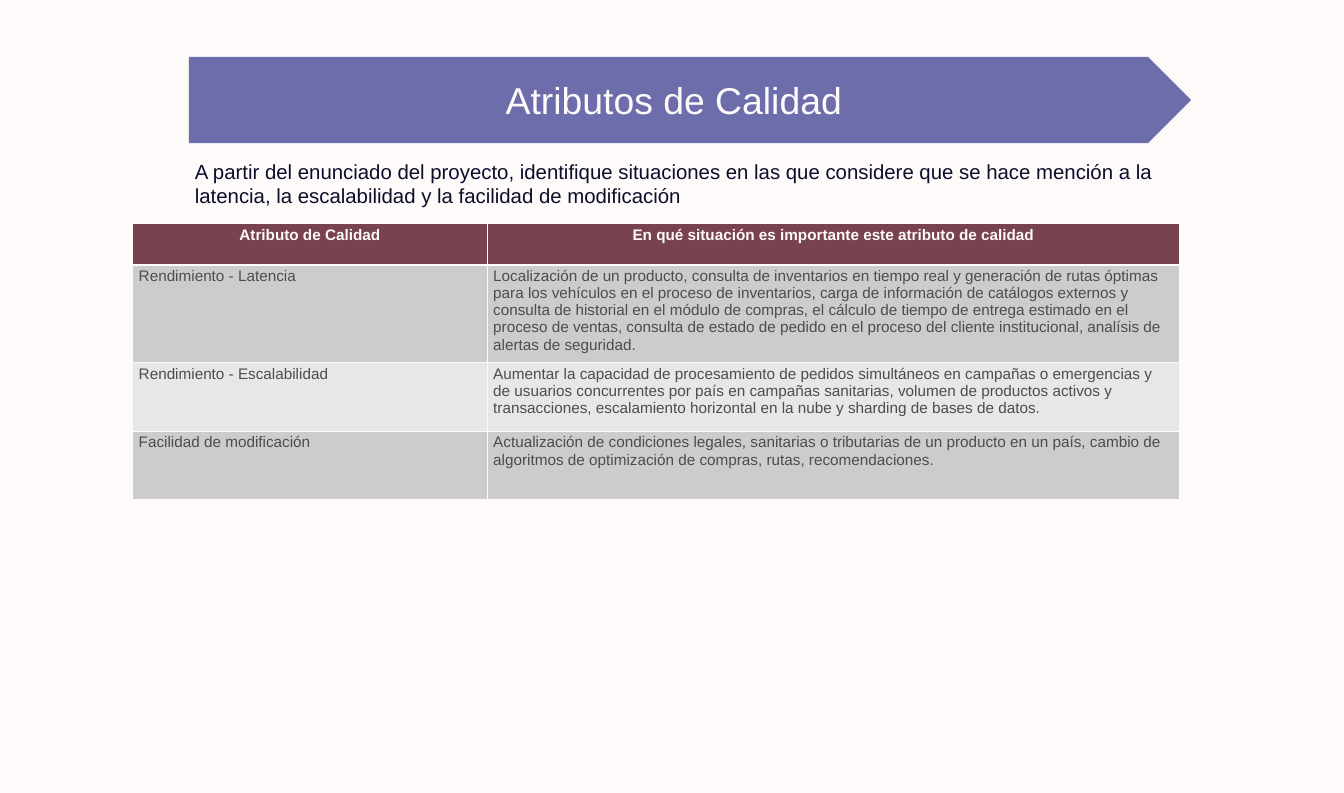
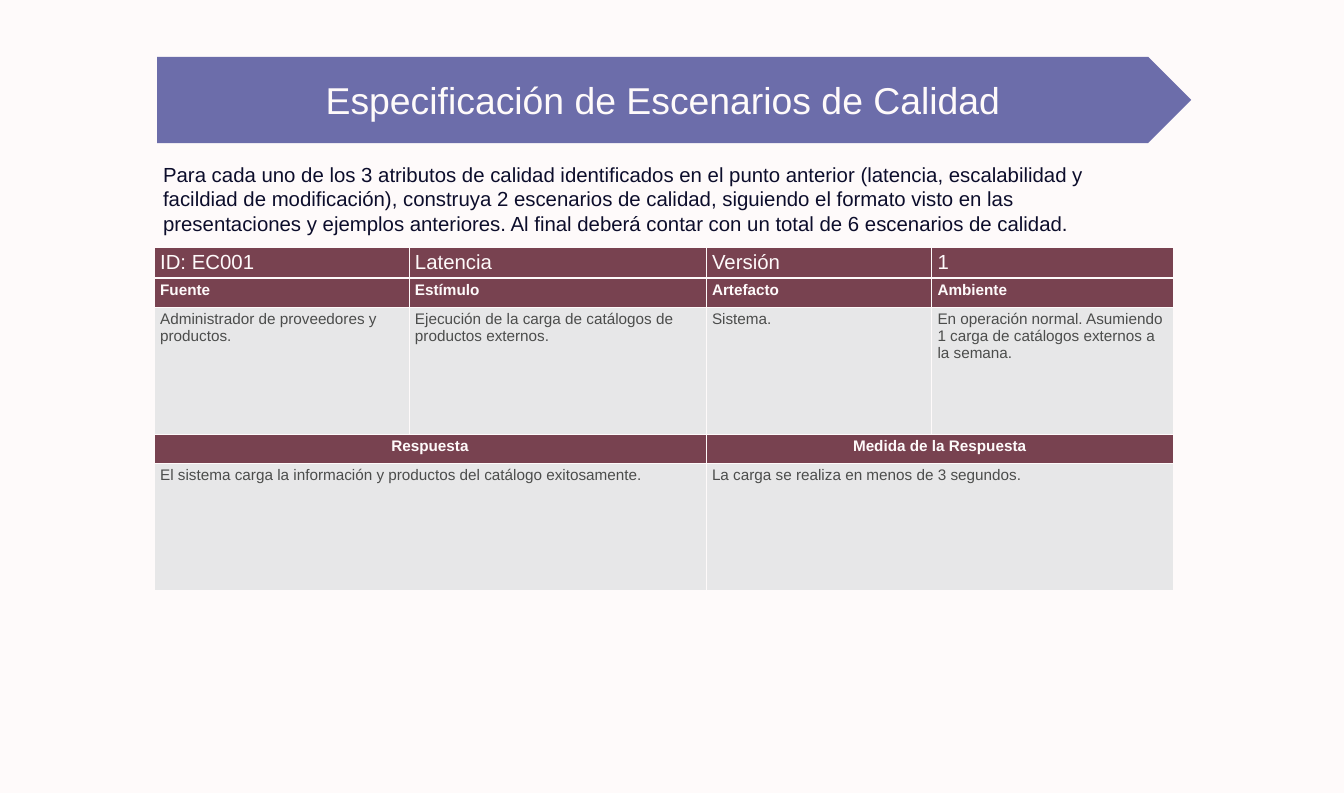
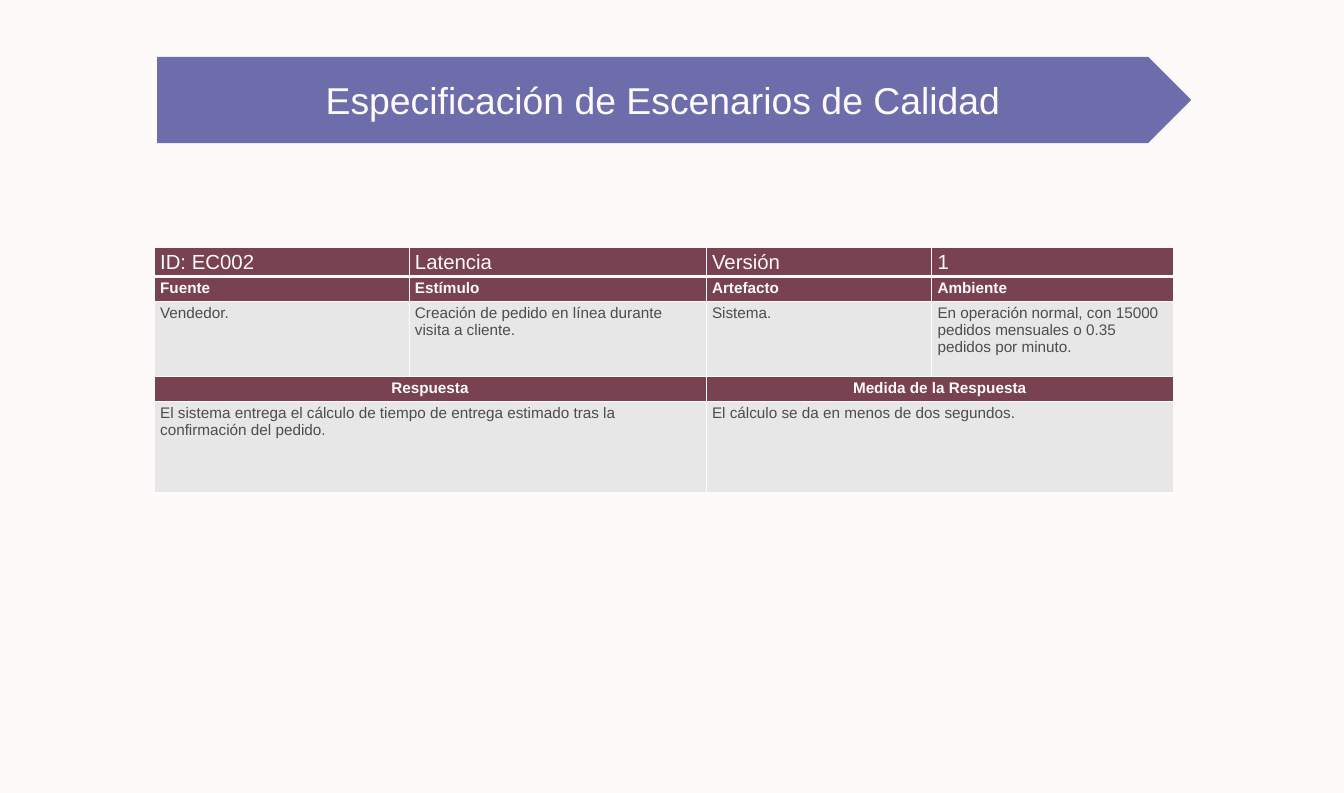
from dataclasses import dataclass

import lxml.etree
import pptx
import pptx.dml.color
import pptx.dml.fill
import pptx.enum.shapes
import pptx.enum.text
import pptx.oxml.ns
import pptx.presentation
import pptx.slide
import pptx.table
import pptx.text.text
import pptx.util

Inches = pptx.util.Inches
Align = pptx.enum.text.PP_ALIGN
qn = pptx.oxml.ns.qn

FONT = "Arial"
PAPER = "FEFAFA"
BANNER = "252884"
INTRO_INK = "0C0D2B"
HEADING = "784250"
BODY_INK = "4C4D4C"
LIGHT = "E7E7E8"
MEDIUM = "CCCCCD"

BANNER_TOP, BANNER_HEIGHT, BANNER_RIGHT = 0.93, 1.41, 19.49
INTRO_WIDTH = 16.4
TITLE_ONLY = 5


@dataclass(frozen=True)
class RowStyle:
    fill: str
    ink: str = BODY_INK
    size: int = 18
    bold: bool = False
    align: Align = Align.LEFT


@dataclass(frozen=True)
class Row:
    height: float
    texts: tuple[str, ...]
    style: RowStyle


@dataclass(frozen=True)
class Grid:
    left: float
    top: float
    columns: tuple[float, ...]
    rows: tuple[Row, ...]


@dataclass(frozen=True)
class Intro:
    top: float
    height: float
    text: str


@dataclass(frozen=True)
class Page:
    title: str
    left: float
    grid: Grid
    intro: Intro | None = None


@dataclass(frozen=True)
class Scenario:
    code: str
    heights: tuple[float, ...]
    context: tuple[str, str, str, str]
    outcome: tuple[str, str]


IDENTITY = RowStyle(HEADING, PAPER, 24)
LABEL = RowStyle(HEADING, PAPER, bold=True)
CENTRED_LABEL = RowStyle(HEADING, PAPER, bold=True, align=Align.CENTER)
DARK_BODY = RowStyle(MEDIUM)
LIGHT_BODY = RowStyle(LIGHT)


def scenario_grid(scenario: Scenario) -> Grid:
    contents = (
        (("ID: " + scenario.code, "Latencia", "Versión", "1"), IDENTITY),
        (("Fuente", "Estímulo", "Artefacto", "Ambiente"), LABEL),
        (scenario.context, LIGHT_BODY),
        (("Respuesta", "Medida de la Respuesta"), CENTRED_LABEL),
        (scenario.outcome, LIGHT_BODY),
    )
    rows = tuple(
        Row(height, texts, style)
        for height, (texts, style) in zip(scenario.heights, contents)
    )
    return Grid(2.52, 4.05, (4.17, 4.86, 3.69, 3.96), rows)


ATTRIBUTES = Grid(
    2.17,
    3.66,
    (5.8, 11.33),
    (
        Row(
            0.67,
            ("Atributo de Calidad", "En qué situación es importante este atributo de calidad"),
            CENTRED_LABEL,
        ),
        Row(
            1.6,
            (
                "Rendimiento - Latencia",
                "Localización de un producto, consulta de inventarios en tiempo real y "
                "generación de rutas óptimas para los vehículos en el proceso de inventarios, "
                "carga de información de catálogos externos y consulta de historial en el "
                "módulo de compras, el cálculo de tiempo de entrega estimado en el proceso de "
                "ventas, consulta de estado de pedido en el proceso del cliente "
                "institucional, analísis de alertas de seguridad.",
            ),
            DARK_BODY,
        ),
        Row(
            1.12,
            (
                "Rendimiento - Escalabilidad",
                "Aumentar la capacidad de procesamiento de pedidos simultáneos en campañas o "
                "emergencias y de usuarios concurrentes por país en campañas sanitarias, "
                "volumen de productos activos y transacciones, escalamiento horizontal en la "
                "nube y sharding de bases de datos.",
            ),
            LIGHT_BODY,
        ),
        Row(
            1.12,
            (
                "Facilidad de modificación",
                "Actualización de condiciones legales, sanitarias o tributarias de un "
                "producto en un país, cambio de algoritmos de optimización de compras, "
                "rutas, recomendaciones.",
            ),
            DARK_BODY,
        ),
    ),
)

CATALOGUE_LOAD = Scenario(
    "EC001",
    (0.48, 0.48, 2.07, 0.48, 2.07),
    (
        "Administrador de proveedores y productos.",
        "Ejecución de la carga de catálogos de productos externos.",
        "Sistema.",
        "En operación normal. Asumiendo 1 carga de catálogos externos a la semana.",
    ),
    (
        "El sistema carga la información y productos del catálogo exitosamente.",
        "La carga se realiza en menos de 3 segundos.",
    ),
)

ORDER_CREATION = Scenario(
    "EC002",
    (0.47, 0.41, 1.23, 0.41, 1.48),
    (
        "Vendedor.",
        "Creación de pedido en línea durante visita a cliente.",
        "Sistema.",
        "En operación normal, con 15000 pedidos mensuales o 0.35 pedidos por minuto.",
    ),
    (
        "El sistema entrega el cálculo de tiempo de entrega estimado tras la "
        "confirmación del pedido.",
        "El cálculo se da en menos de dos segundos.",
    ),
)

SCENARIO_TITLE = "Especificación de Escenarios de Calidad"

PAGES = (
    Page(
        "Atributos de Calidad ",
        3.09,
        ATTRIBUTES,
        Intro(
            2.55,
            0.91,
            "A partir del enunciado del proyecto, identifique situaciones en las que "
            "considere que se hace mención a la latencia, la escalabilidad y la facilidad "
            "de modificación",
        ),
    ),
    Page(
        SCENARIO_TITLE,
        2.57,
        scenario_grid(CATALOGUE_LOAD),
        Intro(
            2.6,
            1.31,
            "Para cada uno de los 3 atributos de calidad identificados en el punto anterior "
            "(latencia, escalabilidad y facildiad de modificación), construya 2 escenarios "
            "de calidad, siguiendo el formato visto en las presentaciones y ejemplos "
            "anteriores. Al final deberá contar con un total de 6 escenarios de calidad.",
        ),
    ),
    Page(SCENARIO_TITLE, 2.57, scenario_grid(ORDER_CREATION)),
)


def colour(value: str) -> pptx.dml.color.RGBColor:
    return pptx.dml.color.RGBColor.from_string(value)


def paint(fill: pptx.dml.fill.FillFormat, value: str) -> None:
    fill.solid()
    fill.fore_color.rgb = colour(value)


def write(
    frame: pptx.text.text.TextFrame,
    text: str,
    size: int,
    ink: str,
    bold: bool = False,
    align: Align = Align.LEFT,
) -> None:
    paragraph = frame.paragraphs[0]
    paragraph.alignment = align
    run = paragraph.add_run()
    run.text = text
    run.font.name = FONT
    run.font.size = pptx.util.Pt(size)
    run.font.bold = bold
    run.font.color.rgb = colour(ink)


def draw_title(slide: pptx.slide.Slide, text: str, left: float) -> None:
    width = BANNER_RIGHT - left
    banner = slide.shapes.add_shape(
        pptx.enum.shapes.MSO_SHAPE.PENTAGON,
        Inches(left), Inches(BANNER_TOP), Inches(width), Inches(BANNER_HEIGHT),
    )
    banner.adjustments[0] = 0.5
    banner.shadow.inherit = False
    banner.line.fill.background()
    paint(banner.fill, BANNER)
    tint = next(banner._element.spPr.iter(qn("a:srgbClr")))
    lxml.etree.SubElement(tint, qn("a:alpha"), val="67000")
    slide.shapes._spTree.insert(2, banner._element)

    title = slide.shapes.title
    title.left, title.top = Inches(left), Inches(BANNER_TOP)
    title.width, title.height = Inches(width - BANNER_HEIGHT / 4), Inches(BANNER_HEIGHT)
    frame = title.text_frame
    frame.auto_size = pptx.enum.text.MSO_AUTO_SIZE.NONE
    frame.vertical_anchor = pptx.enum.text.MSO_ANCHOR.MIDDLE
    write(frame, text, 44, PAPER, align=Align.CENTER)


def draw_intro(slide: pptx.slide.Slide, intro: Intro, left: float) -> None:
    box = slide.shapes.add_textbox(
        Inches(left), Inches(intro.top), Inches(INTRO_WIDTH), Inches(intro.height)
    )
    box.text_frame.word_wrap = True
    write(box.text_frame, intro.text, 24, INTRO_INK)


def draw_borders(cell: pptx.table._Cell, top: int, bottom: int) -> None:
    properties = cell._tc.get_or_add_tcPr()
    edges = (("a:lnL", 1), ("a:lnR", 1), ("a:lnT", top), ("a:lnB", bottom))
    for position, (edge, points) in enumerate(edges):
        line = lxml.etree.Element(qn(edge), w=str(pptx.util.Pt(points)))
        solid = lxml.etree.SubElement(line, qn("a:solidFill"))
        lxml.etree.SubElement(solid, qn("a:srgbClr"), val=PAPER)
        properties.insert(position, line)


def draw_grid(slide: pptx.slide.Slide, grid: Grid) -> None:
    table = slide.shapes.add_table(
        len(grid.rows), len(grid.columns),
        Inches(grid.left), Inches(grid.top),
        Inches(sum(grid.columns)), Inches(sum(row.height for row in grid.rows)),
    ).table
    for column, width in zip(table.columns, grid.columns):
        column.width = Inches(width)
    for index, row in enumerate(grid.rows):
        table.rows[index].height = Inches(row.height)
        style = row.style
        for cell in table.rows[index].cells:
            paint(cell.fill, style.fill)
            draw_borders(cell, 3 if index == 1 else 1, 3 if index == 0 else 1)
        span = len(grid.columns) // len(row.texts)
        for position, text in enumerate(row.texts):
            first = position * span
            cell = table.cell(index, first)
            if span > 1:
                cell.merge(table.cell(index, first + span - 1))
            write(cell.text_frame, text, style.size, style.ink, style.bold, style.align)


def draw_page(deck: pptx.presentation.Presentation, page: Page) -> None:
    slide = deck.slides.add_slide(deck.slide_layouts[TITLE_ONLY])
    draw_title(slide, page.title, page.left)
    if page.intro:
        draw_intro(slide, page.intro, page.left)
    draw_grid(slide, page.grid)


def main() -> None:
    deck = pptx.Presentation()
    deck.slide_width, deck.slide_height = Inches(21.99), Inches(12.97)
    paint(deck.slide_master.background.fill, PAPER)
    for page in PAGES:
        draw_page(deck, page)
    deck.save("out.pptx")


if __name__ == "__main__":
    main()
